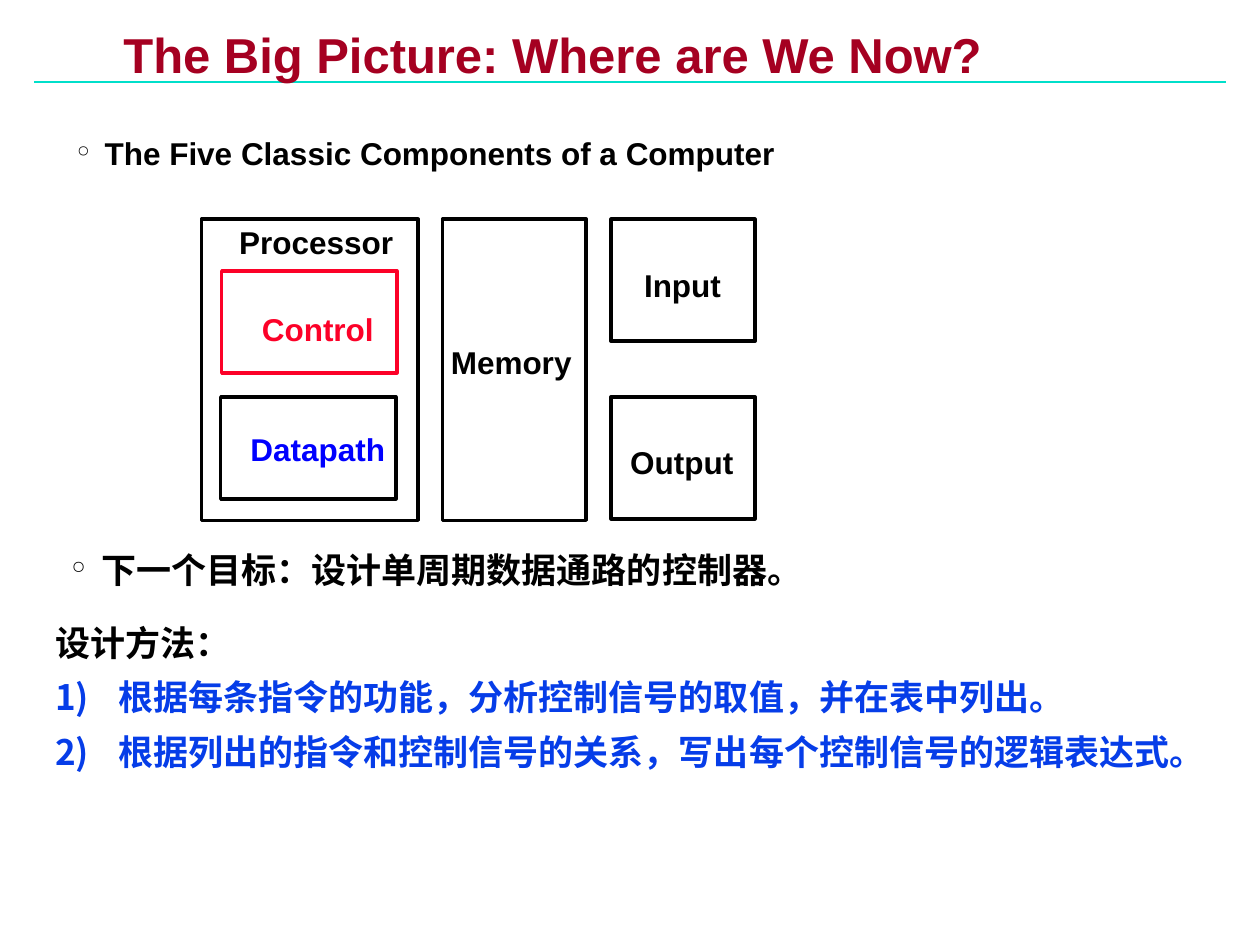
"""Build the slide on the five classic components of a computer."""
from dataclasses import dataclass

import pptx
import pptx.util
import pptx.dml.color
import pptx.enum.shapes
import pptx.enum.text
import pptx.oxml.ns
from lxml import etree

Cm, Pt = pptx.util.Cm, pptx.util.Pt
Align = pptx.enum.text.PP_ALIGN


@dataclass(frozen=True)
class Theme:
    sans: str = "Arial"
    serif: str = "Times New Roman"
    black: str = "000000"
    wine: str = "A50021"
    red: str = "FC0128"
    blue: str = "0000FF"
    royal: str = "063DE8"
    teal: str = "00DFCA"
    title: int = 28
    label: int = 18
    text: int = 20
    rule: float = 1.5
    frame: float = 2


THEME = Theme()
WIDE = (0.25, 0.13)
SLIM = (0.18, 0.08)


def rgb(code):
    return pptx.dml.color.RGBColor.from_string(code)


def add_node(root, tag, **attrs):
    node = etree.SubElement(root, pptx.oxml.ns.qn(tag))
    for key, value in attrs.items():
        node.set(key, value)
    return node


def add_rule(slide, left, top, right):
    line = slide.shapes.add_connector(
        pptx.enum.shapes.MSO_CONNECTOR.STRAIGHT, Cm(left), Cm(top), Cm(right), Cm(top))
    line.line.color.rgb = rgb(THEME.teal)
    line.line.width = Pt(THEME.rule)
    add_node(line._element.spPr, "a:effectLst")


def add_frame(slide, area, color=THEME.black):
    shape = slide.shapes.add_shape(
        pptx.enum.shapes.MSO_SHAPE.RECTANGLE, *map(Cm, area))
    shape.shadow.inherit = False
    shape.fill.background()
    shape.line.color.rgb = rgb(color)
    shape.line.width = Pt(THEME.frame)


def add_box(slide, area, lines, pads=WIDE, wrap=True):
    frame = slide.shapes.add_textbox(*map(Cm, area)).text_frame
    frame.word_wrap = wrap
    frame.margin_left = frame.margin_right = Cm(pads[0])
    frame.margin_top = frame.margin_bottom = Cm(pads[1])
    frame.text = "\n".join(lines)
    return frame.paragraphs


def style(para, size, color=THEME.black, font=THEME.sans, space=None):
    if space:
        para.line_spacing = space
    for run in para.runs:
        run.font.size = Pt(size)
        run.font.name = font
        run.font.bold = True
        run.font.color.rgb = rgb(color)


def hang(para, dent):
    props = para._p.get_or_add_pPr()
    props.set("marL", str(Cm(dent)))
    props.set("indent", str(-Cm(dent)))
    return props


def add_mark(para, dent, color, tag, **attrs):
    props = hang(para, dent)
    add_node(add_node(props, "a:buClr"), "a:srgbClr", val=color)
    add_node(props, tag, **attrs)


def add_label(slide, left, top, width, text, color=THEME.black, align=Align.LEFT):
    para = add_box(slide, (left, top, width, 1.02), [text], wrap=False)[0]
    para.alignment = align
    style(para, THEME.label, color)


def add_parts(slide):
    top, low, tall, wide = 4.42, 8, 6.07, 2.9
    add_frame(slide, (4.47, 5.46, 3.53, 2.06), THEME.red)
    add_frame(slide, (4.45, low, 3.53, 2.06))
    add_frame(slide, (8.92, top, wide, tall))
    add_frame(slide, (4.06, top, 4.37, tall))
    for side in (top, low):
        add_frame(slide, (12.32, side, wide, 2.46))
    add_label(slide, 5.03, 6.12, 2.77, "Control", THEME.red)
    add_label(slide, 4.8, 8.53, 3.23, "Datapath", THEME.blue)
    add_label(slide, 8.84, 6.78, 2.95, "Memory")
    add_label(slide, 4.57, 4.37, 3.61, "Processor")
    add_label(slide, 12.73, 5.23, 2.06, "Input", align=Align.CENTER)
    add_label(slide, 12.45, 8.81, 2.59, "Output", align=Align.CENTER)


def add_point(slide, area, text, dent, pads, size, font, space=None):
    para = add_box(slide, area, [text], pads)[0]
    add_mark(para, dent, THEME.black, "a:buChar", char="°")
    style(para, size, font=font, space=space)


def add_steps(slide, area, head, steps):
    first, *rest = add_box(slide, area, [head, *steps])
    hang(first, 1.27)
    style(first, THEME.text, space=1.3)
    for para in rest:
        add_mark(para, 1.27, THEME.royal, "a:buAutoNum", type="arabicParenR")
        style(para, THEME.text, THEME.royal, space=1.3)


def main():
    deck = pptx.Presentation()
    deck.slide_width, deck.slide_height = Cm(25.4), Cm(19.05)
    slide = deck.slides.add_slide(deck.slide_layouts[6])
    add_rule(slide, 0.69, 1.65, 24.71)
    title = add_box(slide, (2.31, 0.58, 17.98, 1.17),
                    ["The Big Picture: Where are We Now?"], SLIM)[0]
    style(title, THEME.title, THEME.wine, space=0.87)
    add_point(slide, (1.37, 2.62, 22.76, 7.14),
              "The Five Classic Components of a Computer",
              0.56, SLIM, THEME.label, THEME.sans)
    add_parts(slide)
    add_point(slide, (1.19, 11.05, 14.94, 0.99),
              "下一个目标：设计单周期数据通路的控制器。",
              0.6, WIDE, THEME.text, THEME.serif, 0.85)
    add_steps(slide, (0.86, 12.14, 23.8, 4.67), "设计方法：", [
        "根据每条指令的功能，分析控制信号的取值，并在表中列出。",
        "根据列出的指令和控制信号的关系，写出每个控制信号的逻辑表达式。"])
    deck.save("out.pptx")


if __name__ == "__main__":
    main()
